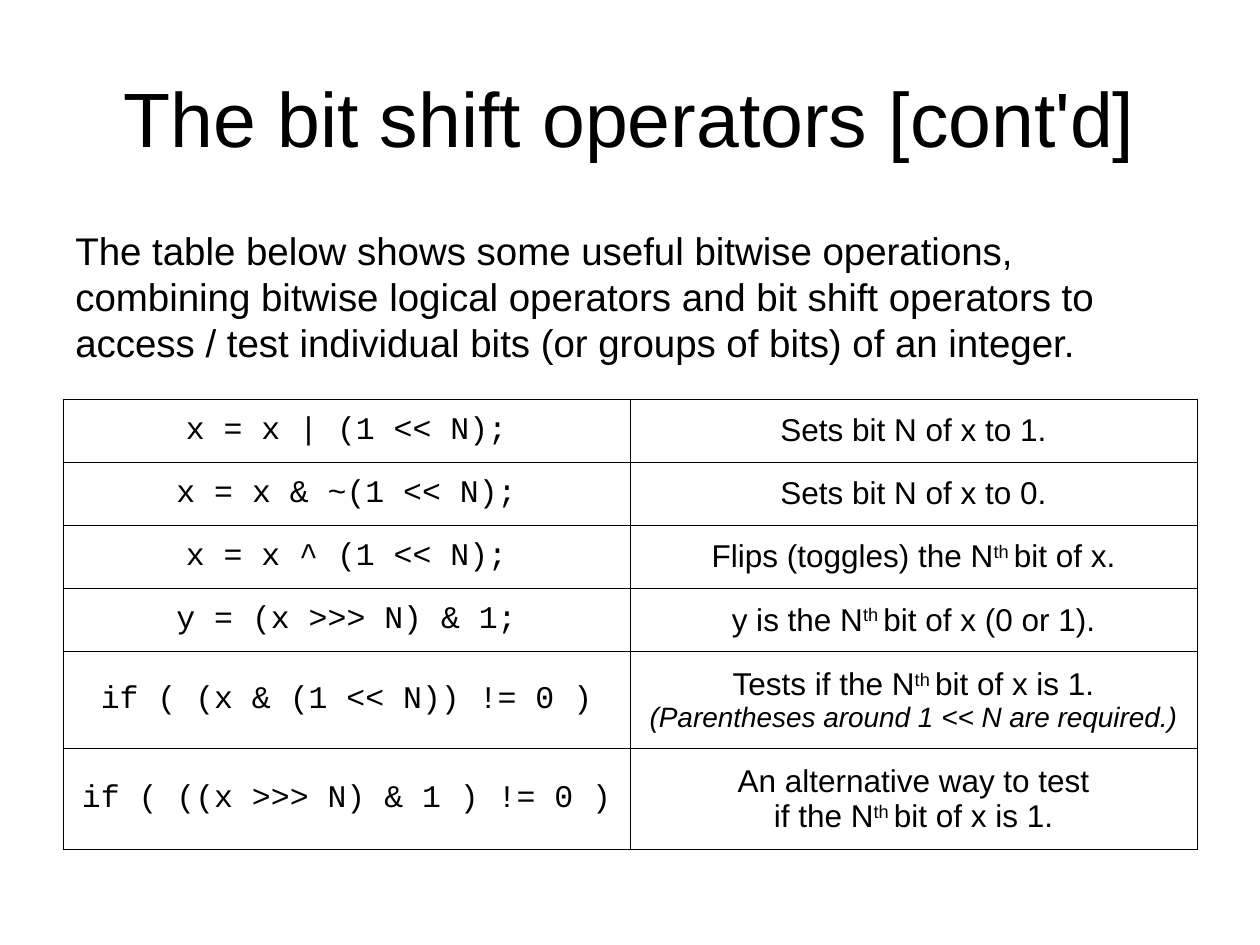
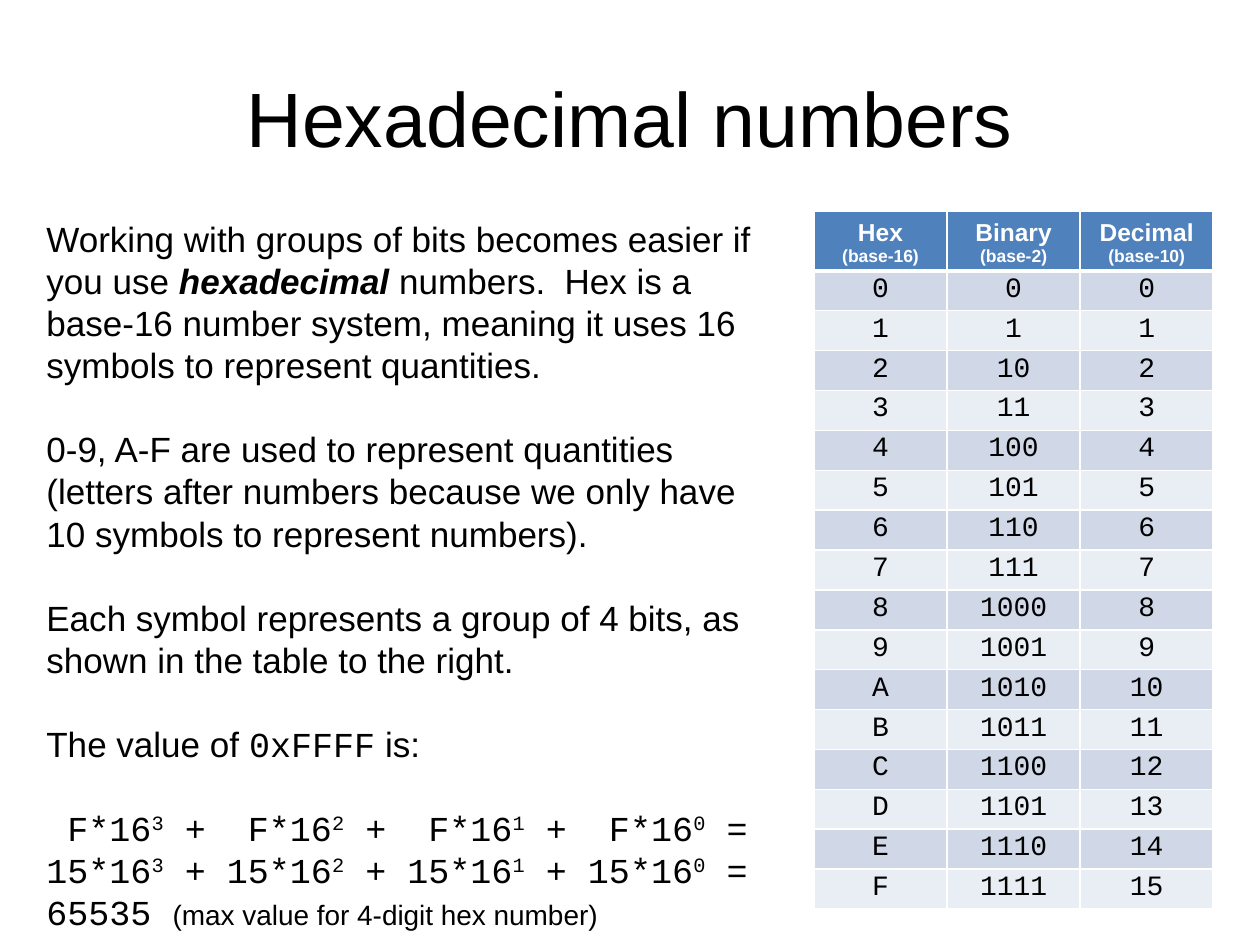
from dataclasses import dataclass

from lxml.etree import SubElement
from pptx import Presentation
from pptx.dml.color import RGBColor
from pptx.enum.text import MSO_ANCHOR, MSO_AUTO_SIZE, PP_ALIGN
from pptx.oxml.ns import qn
from pptx.util import Inches, Pt


@dataclass(frozen=True)
class Theme:
    """Colours, fonts and type sizes shared by the slides."""
    ink: str = "000000"
    paper: str = "FFFFFF"
    header: str = "4F81BD"
    bands: tuple = ("D0D8E8", "E9EDF4")
    sans: str = "Arial"
    mono: str = "Courier New"
    title: int = 44
    intro: int = 22
    body: int = 20
    operation: int = 18
    heading: int = 14
    note: int = 16
    digits: int = 16
    base: int = 10
    leading: float = 1.2


THEME = Theme()
MONO = {"name": THEME.mono}
NOTE = {"size": Pt(THEME.note)}
SUPER = {"baseline": "30000"}

OPERATIONS = [
    ("x = x | (1 << N);", ["Sets bit N of x to 1."]),
    ("x = x & ~(1 << N);", ["Sets bit N of x to 0."]),
    ("x = x ^ (1 << N);", ["Flips (toggles) the N", ("th ", SUPER), "bit of x."]),
    ("y = (x >>> N) & 1;", ["y is the N", ("th ", SUPER), "bit of x (0 or 1)."]),
    ("if ( (x & (1 << N)) != 0 )",
     ["Tests if the N", ("th ", SUPER), "bit of x is 1.\n",
      ("(Parentheses around 1 << N are\u00a0required.)", {**NOTE, "italic": True})]),
    ("if ( ((x >>> N) & 1 ) != 0 )",
     ["An alternative way to test\nif the N", ("th ", SUPER), "bit of x is 1."]),
]
OPERATION_HEIGHTS = [0.5] * 4 + [0.77, 0.8]
BASES = [("Hex", 16), ("Binary", 2), ("Decimal", 10)]


def apply(target, formats):
    """Set each format value on the target."""
    for name, value in formats.items():
        setattr(target, name, value)


def text_style(size, color=THEME.ink, name=THEME.sans, **extra):
    """Return the format values of a piece of text."""
    return {"size": Pt(size), "name": name, "color": color, **extra}


def add_span(paragraph, text, style):
    """Add formatted text, turning newlines into line breaks."""
    style = dict(style)
    color, baseline = style.pop("color"), style.pop("baseline", None)
    for index, line in enumerate(text.split("\n")):
        if index:
            paragraph.add_line_break()
        if line:
            run = paragraph.add_run()
            run.text = line
            apply(run.font, style)
            run.font.color.rgb = RGBColor.from_string(color)
            if baseline:
                run._r.get_or_add_rPr().set("baseline", baseline)


def write(frame, paragraphs, style, **formats):
    """Fill a text frame with paragraphs of plain or restyled spans."""
    for index, spans in enumerate(paragraphs):
        paragraph = frame.add_paragraph() if index else frame.paragraphs[0]
        apply(paragraph, formats)
        for span in spans:
            text, change = (span, {}) if isinstance(span, str) else span
            add_span(paragraph, text, {**style, **change})


def add_text(slide, box, paragraphs, style, frame_formats, **formats):
    """Add a wrapping text box and return its frame."""
    frame = slide.shapes.add_textbox(*map(Inches, box)).text_frame
    apply(frame, {"word_wrap": True, **frame_formats})
    write(frame, paragraphs, style, **formats)
    return frame


def add_title(slide, title):
    """Add the centred slide title."""
    add_text(slide, (0.5, 0.3, 9, 1.25), [[title]], text_style(THEME.title),
             {"vertical_anchor": MSO_ANCHOR.MIDDLE}, alignment=PP_ALIGN.CENTER)


def add_body(slide, box, paragraphs, size):
    """Add left-aligned running text with even line spacing."""
    return add_text(slide, box, paragraphs, text_style(size),
                    {"auto_size": MSO_AUTO_SIZE.SHAPE_TO_FIT_TEXT},
                    line_spacing=Pt(size * THEME.leading))


def set_borders(cell, color, widths):
    """Draw the left, right, top and bottom borders of a cell."""
    properties = cell._tc.get_or_add_tcPr()
    for side, width in zip("LRTB", widths):
        line = SubElement(properties, qn(f"a:ln{side}"), w=str(Pt(width)))
        fill = SubElement(line, qn("a:solidFill"))
        SubElement(fill, qn("a:srgbClr"), val=color)


def add_grid(slide, box, columns, heights):
    """Add an unbanded table with equal columns and given row heights."""
    table = slide.shapes.add_table(len(heights), columns, *map(Inches, box)).table
    apply(table, {"first_row": False, "horz_banding": False})
    for column in table.columns:
        column.width = Inches(box[2] / columns)
    for row, height in zip(table.rows, heights):
        row.height = Inches(height)
    return table


def fill_cell(cell, paragraphs, style, fill, margins, anchor, border, widths):
    """Write and format one centred table cell."""
    sides = ("margin_left", "margin_top", "margin_right", "margin_bottom")
    apply(cell, {"vertical_anchor": anchor, **dict(zip(sides, map(Inches, margins)))})
    set_borders(cell, border, widths)
    cell.fill.solid()
    cell.fill.fore_color.rgb = RGBColor.from_string(fill)
    write(cell.text_frame, paragraphs, style, alignment=PP_ALIGN.CENTER)


def add_operations(slide):
    """Add the table of bitwise operations."""
    box = (0.5, 3.17, 9, sum(OPERATION_HEIGHTS))
    table = add_grid(slide, box, 2, OPERATION_HEIGHTS)
    style = text_style(THEME.operation)
    for row, (code, meaning) in enumerate(OPERATIONS):
        for column, spans in enumerate(([(code, MONO)], meaning)):
            fill_cell(table.cell(row, column), [spans], style, THEME.paper,
                      [0.1] * 4, MSO_ANCHOR.MIDDLE, THEME.ink, [0.6] * 4)


def add_number_table(slide):
    """Add the table of the 16 symbols in three bases."""
    height, header_height = 5.49, 0.47
    heights = [header_height] + [(height - header_height) / 16] * 16
    table = add_grid(slide, (6.46, 1.68, 3.17, height), len(BASES), heights)
    layout = {"margins": (0.01, 0.01, 0.01, 0.04), "anchor": MSO_ANCHOR.BOTTOM,
              "border": THEME.paper}
    heading = text_style(THEME.heading, THEME.paper, bold=True)
    digits = text_style(THEME.digits, name=THEME.mono)
    for column, (name, base) in enumerate(BASES):
        label = (f"(base-{base})", {"size": Pt(THEME.base)})
        fill_cell(table.cell(0, column), [[name], [label]], heading,
                  THEME.header, widths=(1, 1, 1, 3), **layout)
    for number in range(16):
        top = 1 if number else 3
        for column, form in enumerate("Xbd"):
            fill_cell(table.cell(number + 1, column), [[format(number, form)]], digits,
                      THEME.bands[number % 2], widths=(1, 1, top, 1), **layout)


def power_sum(digit):
    """Return the spans that expand four equal hex digits."""
    spans = []
    for exponent in (3, 2, 1, 0):
        spans += [(f"{digit}*16", MONO), (str(exponent), {**MONO, **SUPER}),
                  (" + " if exponent else " =", MONO)]
    return spans


def build_shift_slide(slide):
    """Build the slide on bit shift operators."""
    add_title(slide, "The bit shift operators [cont'd]")
    add_operations(slide)
    add_body(slide, (0.5, 1.75, 9, 1.21), [[
        "The table below shows some useful bitwise operations, combining bitwise "
        "logical operators and bit shift operators to access / test individual bits "
        "(or groups of bits) of an integer."]], THEME.intro)


def build_hex_slide(slide):
    """Build the slide on hexadecimal numbers."""
    add_title(slide, "Hexadecimal numbers")
    explanation = [
        ["Working with groups of bits becomes easier if you use\u00a0",
         ("hexadecimal", {"bold": True, "italic": True}),
         " numbers.  Hex is a base-16 number system, meaning it uses 16 symbols "
         "to represent quantities."],
        ["0-9, A-F are used to represent quantities (letters after numbers because "
         "we only have 10 symbols to represent numbers)."],
        ["Each symbol represents a group of 4 bits, as shown in the table to the right."],
        ["The value of ", ("0xFFFF", MONO), " is:"],
        power_sum(" F"),
    ]
    result = [power_sum("15"),
              [("65535 ", MONO), ("(max value for 4-digit hex number)", NOTE)]]
    frame = add_body(slide, (0.27, 1.68, 5.87, 5.82), explanation + result, THEME.body)
    for paragraph in frame.paragraphs[1:len(explanation)]:
        paragraph.space_before = Pt(THEME.body * THEME.leading)
    add_number_table(slide)


def main():
    """Build and save the presentation."""
    deck = Presentation()
    apply(deck, {"slide_width": Inches(10), "slide_height": Inches(7.5)})
    for build in (build_shift_slide, build_hex_slide):
        build(deck.slides.add_slide(deck.slide_layouts[6]))
    deck.save("out.pptx")


main()
